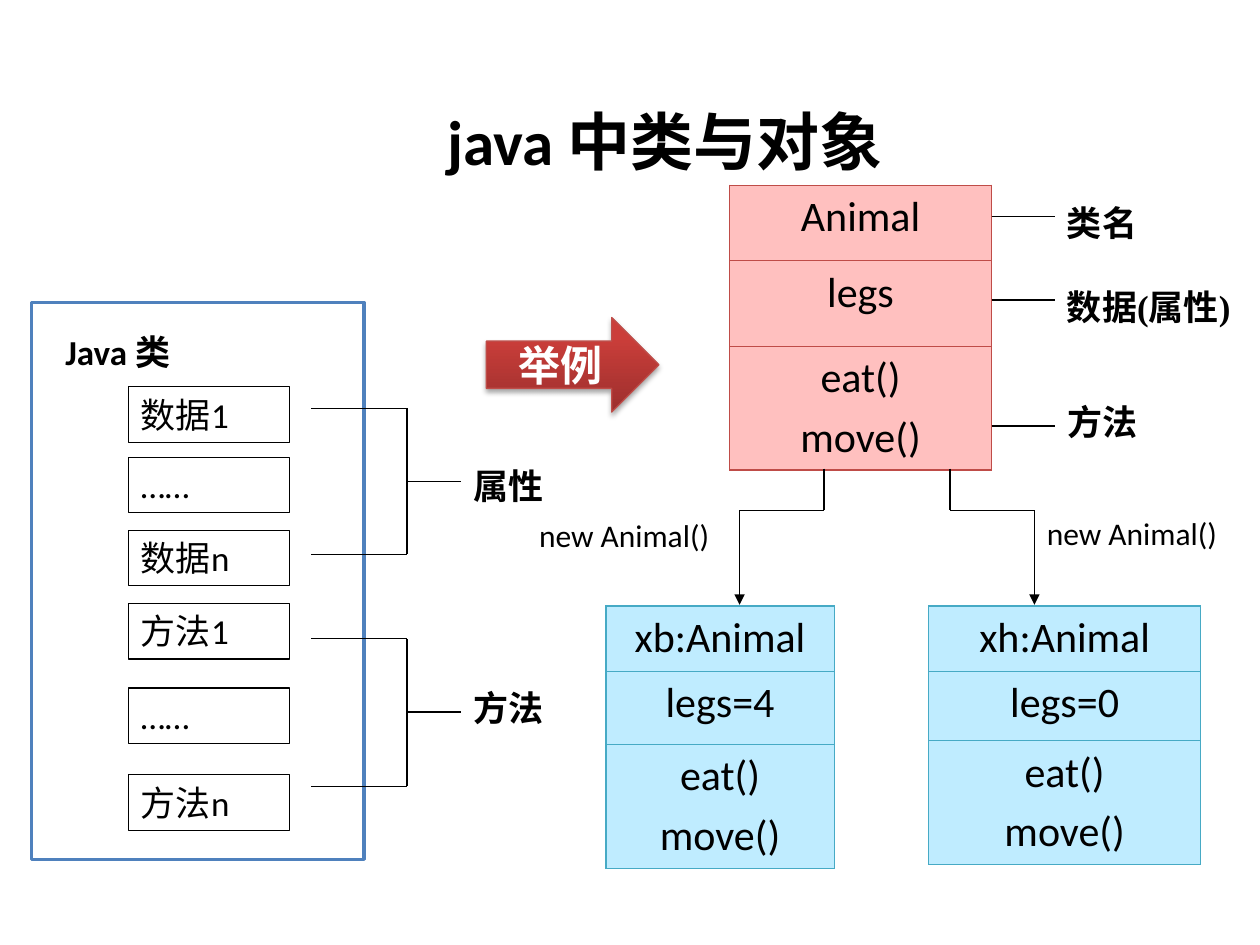
from pptx import Presentation
from pptx.dml.color import RGBColor
from pptx.enum.shapes import MSO_CONNECTOR, MSO_SHAPE
from pptx.enum.text import MSO_ANCHOR, MSO_AUTO_SIZE, PP_ALIGN
from pptx.oxml import parse_xml
from pptx.oxml.ns import nsdecls
from pptx.util import Inches, Pt

rgb = RGBColor.from_string


def write(shape, text, size=20, bold=False, font="Calibri", color="000000",
          align=PP_ALIGN.LEFT, anchor=MSO_ANCHOR.TOP):
    """Fill a shape or table cell with text, one paragraph per line."""
    frame = shape.text_frame
    frame.text = text
    frame.word_wrap = True
    shape.vertical_anchor = frame.vertical_anchor = anchor
    for i, para in enumerate(frame.paragraphs):
        para.alignment = align
        if i:
            para.space_before = Pt(size * 0.2)
        for run in para.runs:
            run.font.size, run.font.bold, run.font.name = Pt(size), bold, font
            run.font.color.rgb = rgb(color)


def draw(x1, y1, x2, y2, arrow=False):
    """Add a thin black line, with an arrowhead at its end if asked."""
    line = slide.shapes.add_connector(
        MSO_CONNECTOR.STRAIGHT, Inches(x1), Inches(y1), Inches(x2), Inches(y2))
    line.line.color.rgb = rgb("000000")
    line.line.width = Pt(0.75)
    if arrow:
        line.line._get_or_add_ln().append(
            parse_xml(f'<a:tailEnd {nsdecls("a")} type="triangle"/>'))
    line._element.spPr.append(parse_xml(f'<a:effectLst {nsdecls("a")}/>'))


prs = Presentation()
prs.slide_width, prs.slide_height = Inches(10), Inches(7.5)
slide = prs.slides.add_slide(prs.slide_layouts[5])
shapes = slide.shapes

title = shapes.title
title.left, title.top = Inches(3.45), Inches(0.76)
title.width, title.height = Inches(3.91), Inches(0.71)
write(title, "java 中类与对象", 36, True)
title.text_frame.auto_size = MSO_AUTO_SIZE.NONE

# Java class: frame and its members
frame = shapes.add_shape(
    MSO_SHAPE.RECTANGLE, Inches(0.25), Inches(2.4), Inches(2.64), Inches(4.42))
frame.shadow.inherit = False
frame.fill.solid()
frame.fill.fore_color.rgb = rgb("FFFFFF")
frame.line.color.rgb = rgb("4F81BD")
frame.line.width = Pt(2)

members = [("数据1", 3.07), ("……", 3.63), ("数据n", 4.21),
           ("方法1", 4.79), ("……", 5.46), ("方法n", 6.15)]
for text, top in members:
    box = shapes.add_shape(
        MSO_SHAPE.RECTANGLE, Inches(1.02), Inches(top), Inches(1.28), Inches(0.44))
    box.shadow.inherit = False
    box.fill.background()
    box.line.color.rgb = rgb("000000")
    box.line.width = Pt(0.75)
    write(box, text)

# Brackets from the members to their labels
for top, mid, low in [(3.24, 3.82, 4.4), (5.07, 5.65, 6.24)]:
    draw(2.47, top, 3.23, top)
    draw(3.23, top, 3.23, low)
    draw(3.23, low, 2.47, low)
    draw(3.23, mid, 3.66, mid)

# Class and object tables
tables = [
    (5.79, 1.47, 2.08, [0.6, 0.68, 0.97], "Animal", "legs", "FFC0BF", "BF4C48"),
    (7.37, 4.81, 2.16, [0.52, 0.55, 0.97], "xh:Animal", "legs=0", "BFECFF", "46AAC5"),
    (4.81, 4.81, 1.81, [0.52, 0.58, 0.97], "xb:Animal", "legs=4", "BFECFF", "46AAC5"),
]
for left, top, width, rows, name, data, fill, edge in tables:
    table = shapes.add_table(
        3, 1, Inches(left), Inches(top), Inches(width), Inches(sum(rows))).table
    table.first_row = table.horz_banding = False
    for i, text in enumerate([name, data, "eat()\nmove()"]):
        table.rows[i].height = Inches(rows[i])
        cell = table.cell(i, 0)
        write(cell, text, 24, align=PP_ALIGN.CENTER)
        props = cell._tc.get_or_add_tcPr()
        for side in ("lnL", "lnR", "lnT", "lnB"):
            props.append(parse_xml(
                f'<a:{side} {nsdecls("a")} w="9525"><a:solidFill>'
                f'<a:srgbClr val="{edge}"/></a:solidFill></a:{side}>'))
        cell.fill.solid()
        cell.fill.fore_color.rgb = rgb(fill)

for y in (1.72, 2.38, 3.38):
    draw(7.87, y, 8.37, y)

# Arrows from the class to its objects
for start, end in [(6.54, 5.87), (7.54, 8.21)]:
    draw(start, 3.72, start, 4.05)
    draw(start, 4.05, end, 4.05)
    draw(end, 4.05, end, 4.8, arrow=True)

labels = [
    ("Java 类", 0.42, 2.57, 1.88, 20, True, "Calibri"),
    ("属性", 3.66, 3.64, 1.02, 20, True, "Calibri"),
    ("方法", 3.66, 5.4, 0.85, 20, True, "Calibri"),
    ("类名", 8.37, 1.55, 0.83, 20, True, "Times New Roman"),
    ("数据(属性)", 8.37, 2.22, 1.67, 20, True, "Times New Roman"),
    ("方法", 8.37, 3.13, 1.25, 20, True, "Times New Roman"),
    ("new Animal()", 8.21, 4.03, 1.83, 18, False, "Calibri"),
    ("new Animal()", 4.18, 4.05, 1.83, 18, False, "Calibri"),
]
for text, left, top, width, size, bold, font in labels:
    label = shapes.add_textbox(
        Inches(left), Inches(top), Inches(width), Inches(0.43))
    write(label, text, size, bold, font)

# Example arrow
arrow = shapes.add_shape(
    MSO_SHAPE.RIGHT_ARROW, Inches(3.86), Inches(2.52), Inches(1.37), Inches(0.75))
arrow.fill.gradient()
arrow.fill.gradient_angle = 90
for stop, color, place in zip(arrow.fill.gradient_stops, ("9C2F2D", "CB3E3A"), (0, 0.8)):
    stop.color.rgb = rgb(color)
    stop.position = place
arrow.line.color.rgb = rgb("BF4C48")
arrow.line.width = Pt(0.75)
arrow.shadow.inherit = False
arrow._element.spPr.find("{*}effectLst").append(parse_xml(
    f'<a:outerShdw {nsdecls("a")} blurRad="{Pt(3.1)}" dist="{Pt(1.8)}" dir="5400000">'
    '<a:srgbClr val="000000"><a:alpha val="35000"/></a:srgbClr></a:outerShdw>'))
write(arrow, "举例", 24, True, "Times New Roman", "FFFFFF",
      PP_ALIGN.CENTER, MSO_ANCHOR.MIDDLE)

prs.save("out.pptx")
